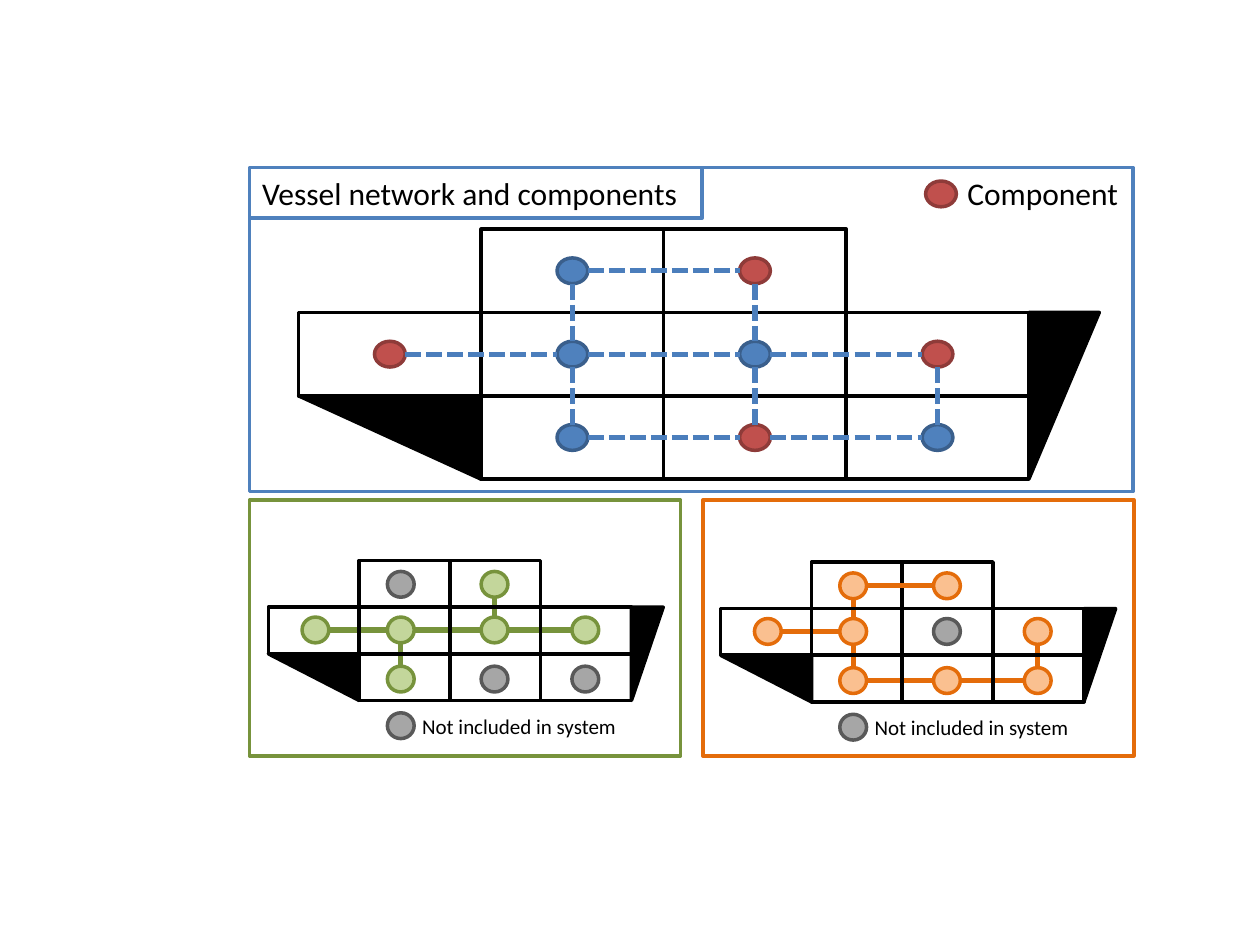
from dataclasses import dataclass

from lxml import etree
from pptx import Presentation
from pptx.dml.color import RGBColor
from pptx.enum.dml import MSO_LINE
from pptx.enum.shapes import MSO_CONNECTOR, MSO_SHAPE
from pptx.enum.text import MSO_ANCHOR, MSO_AUTO_SIZE, PP_ALIGN
from pptx.oxml.ns import qn
from pptx.util import Cm, Pt

RECT, OVAL, TRIANGLE = MSO_SHAPE.RECTANGLE, MSO_SHAPE.OVAL, MSO_SHAPE.RIGHT_TRIANGLE
STRAIGHT = MSO_CONNECTOR.STRAIGHT
DASH = MSO_LINE.SQUARE_DOT
FIXED, GROW = MSO_AUTO_SIZE.NONE, MSO_AUTO_SIZE.SHAPE_TO_FIT_TEXT
TOP, LEFT = MSO_ANCHOR.TOP, PP_ALIGN.LEFT
TITLE_ONLY = 5

# Compartments as (column, row), shared by all three vessels
CELLS = [(1, 0), (2, 0), (0, 1), (1, 1), (2, 1), (3, 1), (1, 2), (2, 2), (3, 2)]


@dataclass(frozen=True)
class Theme:
    font: str = "Calibri"
    heading_size: int = 18
    note_size: int = 12
    outline: int = 2
    link_width: int = 3
    black: str = "000000"
    white: str = "FFFFFF"
    blue: str = "4F81BD"
    dash_blue: str = "4B7EBC"
    green: str = "77933C"
    orange: str = "E46C0A"
    # Node colours: fill, outline
    plain_node: tuple = ("4F81BD", "3A5F8C")
    component_node: tuple = ("C0504D", "8E3B39")
    green_node: tuple = ("C3D69B", "77933C")
    orange_node: tuple = ("FAC090", "E46C0A")
    excluded_node: tuple = ("A6A6A6", "595959")


@dataclass(frozen=True)
class Vessel:
    """Measures of a vessel in cm; columns and rows are node centres from its corner."""
    left: float
    top: float
    cell: tuple
    bow: float
    node: tuple
    columns: tuple
    rows: tuple

    def centre(self, place):
        column, row = place
        return self.left + self.columns[column], self.top + self.rows[row]


def write_text(frame, text, *, font, size, color, wrap, fit):
    frame.word_wrap = wrap
    frame.auto_size = fit
    frame.vertical_anchor = TOP
    paragraph = frame.paragraphs[0]
    paragraph.alignment = LEFT
    run = paragraph.add_run()
    run.text = text
    run.font.name = font
    run.font.size = Pt(size)
    run.font.color.rgb = RGBColor.from_string(color)


class Drawing:
    def __init__(self, slide, theme):
        self.slide = slide
        self.theme = theme

    def style(self, shape, line, fill=None):
        if fill:
            shape.fill.solid()
            shape.fill.fore_color.rgb = RGBColor.from_string(fill)
        else:
            shape.fill.background()
        shape.line.color.rgb = RGBColor.from_string(line)
        shape.line.width = Pt(self.theme.outline)

    def shape(self, kind, left, top, width, height, line, fill=None, rotation=0):
        shape = self.slide.shapes.add_shape(kind, Cm(left), Cm(top), Cm(width), Cm(height))
        shape.shadow.inherit = False
        shape.rotation = rotation
        self.style(shape, line, fill)

    def title(self, text, left, top, width, height):
        title = self.slide.shapes.title
        title.left, title.top, title.width, title.height = map(Cm, (left, top, width, height))
        self.style(title, self.theme.blue, self.theme.white)
        # A growing title would take the layout's height, so its size is fixed
        write_text(title.text_frame, text, font=self.theme.font, size=self.theme.heading_size,
                   color=self.theme.black, wrap=True, fit=FIXED)

    def label(self, text, left, top, width, height, size):
        box = self.slide.shapes.add_textbox(Cm(left), Cm(top), Cm(width), Cm(height))
        write_text(box.text_frame, text, font=self.theme.font, size=size,
                   color=self.theme.black, wrap=False, fit=GROW)

    def node(self, centre, size, colors):
        (x, y), (width, height), (fill, line) = centre, size, colors
        self.shape(OVAL, x - width / 2, y - height / 2, width, height, line, fill)

    def nodes(self, vessel, places, colors):
        for place in places:
            self.node(vessel.centre(place), vessel.node, colors)

    def links(self, vessel, pairs, color, dash=None):
        """Join neighbouring nodes edge to edge, rightwards or downwards."""
        for start, end in pairs:
            (x1, y1), (x2, y2) = vessel.centre(start), vessel.centre(end)
            if start[1] == end[1]:
                x1, x2 = x1 + vessel.node[0] / 2, x2 - vessel.node[0] / 2
            else:
                y1, y2 = y1 + vessel.node[1] / 2, y2 - vessel.node[1] / 2
            link = self.slide.shapes.add_connector(STRAIGHT, Cm(x1), Cm(y1), Cm(x2), Cm(y2))
            link.line.color.rgb = RGBColor.from_string(color)
            link.line.width = Pt(self.theme.link_width)
            if dash:
                link.line.dash_style = dash
            etree.SubElement(link._element.spPr, qn("a:effectLst"))

    def hull(self, vessel):
        width, height = vessel.cell
        black = self.theme.black
        for column, row in CELLS:
            self.shape(RECT, vessel.left + column * width, vessel.top + row * height,
                       width, height, black)
        # Stern below the first column
        self.shape(TRIANGLE, vessel.left, vessel.top + 2 * height, width, height,
                   black, black, rotation=180)
        # Bow beside the two lower rows, turned about its centre
        bow_x = vessel.left + 4 * width + vessel.bow / 2
        bow_y = vessel.top + 2 * height
        self.shape(TRIANGLE, bow_x - height, bow_y - vessel.bow / 2, 2 * height, vessel.bow,
                   black, black, rotation=90)

    def excluded_legend(self, vessel):
        self.node((vessel.left + vessel.columns[1], vessel.top + 3.33), vessel.node,
                  self.theme.excluded_node)
        self.label("Not included in system", vessel.left + 2.85, vessel.top + 2.95,
                   4.47, 0.76, self.theme.note_size)


def small_vessel(left, top):
    return Vessel(left, top, cell=(1.83, 0.94), bow=0.64, node=(0.54, 0.52),
                  columns=(0.95, 2.67, 4.56, 6.39), rows=(0.48, 1.4, 2.39))


def main():
    theme = Theme()
    deck = Presentation()
    deck.slide_width, deck.slide_height = Cm(25.4), Cm(19.05)
    drawing = Drawing(deck.slides.add_slide(deck.slide_layouts[TITLE_ONLY]), theme)

    # System in green
    green = small_vessel(5.41, 11.3)
    drawing.shape(RECT, 5.03, 10.08, 8.69, 5.16, theme.green)
    drawing.nodes(green, [(0, 1), (1, 1), (2, 1), (3, 1), (1, 2), (2, 0)], theme.green_node)
    drawing.links(green, [((0, 1), (1, 1)), ((1, 1), (2, 1)), ((2, 1), (3, 1)),
                          ((1, 1), (1, 2)), ((2, 0), (2, 1))], theme.green)
    drawing.hull(green)
    drawing.nodes(green, [(1, 0), (2, 2), (3, 2)], theme.excluded_node)
    drawing.excluded_legend(green)

    # System in orange; its top link runs over the hull
    orange = small_vessel(14.53, 11.33)
    drawing.shape(RECT, 14.17, 10.08, 8.69, 5.16, theme.orange)
    drawing.nodes(orange, [(0, 1), (1, 1), (3, 1), (1, 2), (2, 2), (3, 2), (1, 0), (2, 0)],
                  theme.orange_node)
    drawing.links(orange, [((0, 1), (1, 1)), ((3, 1), (3, 2)), ((1, 1), (1, 2)),
                           ((1, 0), (1, 1)), ((2, 2), (3, 2)), ((1, 2), (2, 2))], theme.orange)
    drawing.hull(orange)
    drawing.links(orange, [((1, 0), (2, 0))], theme.orange)
    drawing.nodes(orange, [(2, 1)], theme.excluded_node)
    drawing.excluded_legend(orange)

    # Whole vessel network
    width, height = 3.68, 1.68
    whole = Vessel(6.02, 4.62, cell=(width, height), bow=1.42, node=(0.62, 0.52),
                   columns=tuple(width * (i + 0.5) for i in range(4)),
                   rows=tuple(height * (i + 0.5) for i in range(3)))
    drawing.hull(whole)
    drawing.nodes(whole, [(1, 0), (1, 1), (2, 1), (1, 2), (3, 2)], theme.plain_node)
    drawing.nodes(whole, [(2, 0), (0, 1), (3, 1), (2, 2)], theme.component_node)
    across = [((c, r), (c + 1, r)) for c, r in CELLS if (c + 1, r) in CELLS]
    down = [((c, r), (c, r + 1)) for c, r in CELLS if (c, r + 1) in CELLS]
    drawing.links(whole, across + down, theme.dash_blue, DASH)

    # Heading, component legend and frame
    drawing.title("Vessel network and components", 5.03, 3.38, 9.12, 1.02)
    drawing.node((18.97, 3.91), whole.node, theme.component_node)
    drawing.label("Component", 19.25, 3.38, 3.58, 1.02, theme.heading_size)
    drawing.shape(RECT, 5.03, 3.38, 17.81, 6.53, theme.blue)

    deck.save("out.pptx")


if __name__ == "__main__":
    main()
